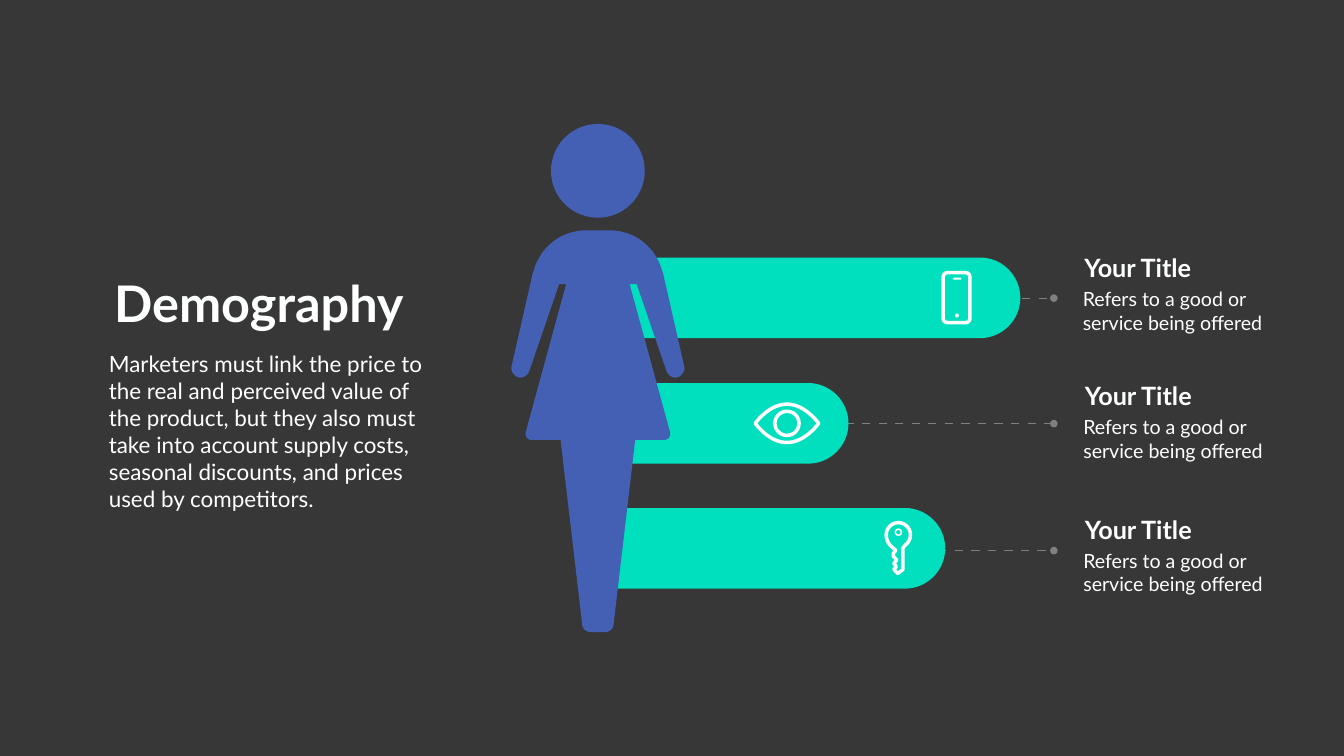
from dataclasses import dataclass

from lxml.etree import SubElement
from pptx import Presentation
from pptx.dml.color import RGBColor
from pptx.enum.shapes import MSO_CONNECTOR, MSO_SHAPE
from pptx.enum.text import MSO_AUTO_SIZE, PP_ALIGN
from pptx.oxml.ns import qn
from pptx.util import Emu, Pt

EMU_PER_PX = 9144  # 100 px to the inch

BACKGROUND = RGBColor(0x37, 0x37, 0x37)
TEAL = RGBColor(0x00, 0xDF, 0xBE)
BLUE = RGBColor(0x44, 0x60, 0xB4)
WHITE = RGBColor(0xFF, 0xFF, 0xFF)
TEXT = RGBColor(0xFE, 0xFF, 0xFF)
GREY = RGBColor(0x80, 0x80, 0x80)
DARK_GREY = RGBColor(0x60, 0x60, 0x60)

BAR_LEFT, BAR_HEIGHT = 1174, 160
DASH_LENGTH = 16
DOT_LEFT, DOT_SIZE = 2083, 15
FIGURE_CENTRE = 1186
ICON_STROKE = 7


@dataclass(frozen=True)
class Row:
    bar_top: int
    bar_right: int
    line_y: int
    first_dash: int
    last_dash: int
    dash_count: int
    dark_dashes: int
    text_left: int
    title_top: int


ROWS = (
    Row(511, 2024, 591, 1863, 2060, 7, 5, 2138, 496),
    Row(760, 1683, 840, 1645, 2071, 14, 1, 2139, 750),
    Row(1008, 1875, 1092, 1796, 2058, 9, 1, 2139, 1015),
)

# Two numbers are a corner; six are a Bézier segment: two handles and an end.
FIGURE_RIGHT_HALF = (
    (1209, 457), (1259, 457, 1300, 490, 1313, 536), (1315, 541), (1357, 726),
    (1360, 735, 1354, 743, 1346, 748), (1336, 752, 1326, 746, 1322, 736),
    (1263, 564), (1249, 564), (1329, 857), (1331, 865, 1326, 873, 1317, 873),
    (1260, 873), (1217, 1240), (1216, 1248, 1209, 1254, 1201, 1254),
)
EYE = (
    (1498, 840), (1515, 818, 1537, 802, 1561, 802),
    (1585, 802, 1607, 818, 1624, 840), (1607, 862, 1585, 878, 1561, 878),
    (1537, 878, 1515, 862, 1498, 840),
)
KEY = (
    (1769, 1085), (1777, 1092), (1772, 1098), (1772, 1104), (1779, 1111),
    (1773, 1118), (1778, 1124), (1773, 1130), (1781, 1138), (1791, 1130),
    (1791, 1088), (1795, 1082), (1801, 1078, 1806, 1070, 1806, 1061),
    (1806, 1048, 1795, 1037, 1782, 1037), (1769, 1037, 1758, 1048, 1758, 1061),
    (1758, 1071, 1762, 1079, 1769, 1085),
)


def px(length: float) -> Emu:
    return Emu(round(length * EMU_PER_PX))


def flatten(outline, steps: int = 16) -> list[tuple[float, float]]:
    """Turn corners and Bézier segments into a list of points."""
    points = []
    for segment in outline:
        if len(segment) == 2:
            points.append(segment)
            continue
        x0, y0 = points[-1]
        x1, y1, x2, y2, x3, y3 = segment
        for step in range(1, steps + 1):
            t = step / steps
            a, b, c, d = (1 - t) ** 3, 3 * t * (1 - t) ** 2, 3 * t * t * (1 - t), t ** 3
            points.append((a * x0 + b * x1 + c * x2 + d * x3,
                           a * y0 + b * y1 + c * y2 + d * y3))
    return points


def style(shape, fill: RGBColor | None, line: RGBColor | None, stroke: int) -> None:
    shape.shadow.inherit = False
    if fill is None:
        shape.fill.background()
    else:
        shape.fill.solid()
        shape.fill.fore_color.rgb = fill
    if line is None:
        shape.line.fill.background()
    else:
        shape.line.color.rgb = line
        shape.line.width = px(stroke)


def add_outline(slide, points, *, fill=None, line=None, stroke: int = ICON_STROKE) -> None:
    (start_x, start_y), *others = [(px(x), px(y)) for x, y in points]
    builder = slide.shapes.build_freeform(start_x, start_y)
    builder.add_line_segments(others, close=True)
    style(builder.convert_to_shape(), fill, line, stroke)


def add_preset(slide, kind, left: int, top: int, width: int, height: int, *,
               fill=None, line=None, stroke: int = ICON_STROKE,
               rounding: float | None = None) -> None:
    shape = slide.shapes.add_shape(kind, px(left), px(top), px(width), px(height))
    if rounding is not None:
        shape.adjustments[0] = rounding
    style(shape, fill, line, stroke)


def add_text(slide, text: str, left: int, top: int, width: int, height: int, *,
             size: int, bold: bool = False, align=PP_ALIGN.LEFT, wrap: bool = True) -> None:
    frame = slide.shapes.add_textbox(px(left), px(top), px(width), px(height)).text_frame
    frame.word_wrap = wrap
    frame.auto_size = MSO_AUTO_SIZE.SHAPE_TO_FIT_TEXT
    frame.text = text
    for paragraph in frame.paragraphs:
        paragraph.alignment = align
        font = paragraph.runs[0].font
        font.name, font.size, font.bold = "Lato", Pt(size), bold
        font.color.rgb = TEXT


def add_leader(slide, row: Row) -> None:
    """Draw the evenly spaced dashes and the dot that ends them."""
    gap = (row.last_dash - row.first_dash) / (row.dash_count - 1)
    for index in range(row.dash_count):
        x = row.first_dash + index * gap
        dash = slide.shapes.add_connector(MSO_CONNECTOR.STRAIGHT, px(x), px(row.line_y),
                                          px(x + DASH_LENGTH), px(row.line_y))
        dash.line.color.rgb = DARK_GREY if index < row.dark_dashes else GREY
        dash.line.width = Pt(0.96)
        SubElement(dash._element.spPr, qn("a:effectLst"))
    add_preset(slide, MSO_SHAPE.OVAL, DOT_LEFT, row.line_y - DOT_SIZE // 2,
               DOT_SIZE, DOT_SIZE, fill=GREY)


def add_bar(slide, row: Row) -> None:
    top, right, radius = row.bar_top, row.bar_right, BAR_HEIGHT // 2
    bottom, handle = top + BAR_HEIGHT, 36
    outline = (
        (BAR_LEFT, top), (right - radius, top),
        (right - handle, top, right, top + handle, right, top + radius),
        (right, bottom - handle, right - handle, bottom, right - radius, bottom),
        (BAR_LEFT, bottom),
    )
    add_outline(slide, flatten(outline), fill=TEAL)


def add_icons(slide) -> None:
    rounded, oval = MSO_SHAPE.ROUNDED_RECTANGLE, MSO_SHAPE.OVAL
    # Phone
    add_preset(slide, rounded, 1871, 541, 53, 99, line=WHITE, rounding=0.15)
    add_preset(slide, oval, 1894, 622, 8, 8, fill=WHITE)
    add_preset(slide, rounded, 1890, 551, 17, 4, fill=WHITE, rounding=0.5)
    # Eye
    add_outline(slide, flatten(EYE), line=WHITE)
    add_preset(slide, oval, 1537, 816, 48, 48, line=WHITE)
    # Key
    add_outline(slide, flatten(KEY), line=WHITE)
    add_preset(slide, oval, 1776, 1050, 12, 12, line=WHITE, stroke=3)


def add_figure(slide) -> None:
    add_preset(slide, MSO_SHAPE.OVAL, 1093, 246, 186, 186, fill=BLUE)
    right_half = flatten(FIGURE_RIGHT_HALF)
    left_half = [(2 * FIGURE_CENTRE - x, y) for x, y in reversed(right_half)]
    add_outline(slide, right_half + left_half, fill=BLUE)


def main() -> None:
    presentation = Presentation()
    presentation.slide_width, presentation.slide_height = px(2666), px(1500)
    slide = presentation.slides.add_slide(presentation.slide_layouts[6])
    slide.background.fill.solid()
    slide.background.fill.fore_color.rgb = BACKGROUND

    for row in ROWS:
        add_leader(slide, row)
    for row in ROWS:
        add_bar(slide, row)
    add_icons(slide)
    add_figure(slide)

    add_text(slide, "Demography", 210, 534, 607, 131, size=72, bold=True,
             align=PP_ALIGN.CENTER, wrap=False)
    add_text(slide, "Marketers must link the price to the real and perceived value of the "
             "product, but they also must take into account supply costs, seasonal "
             "discounts, and prices used by competitors.", 206, 690, 682, 333, size=32)
    for row in ROWS:
        add_text(slide, "Your Title", row.text_left + 3, row.title_top, 261, 71,
                 size=36, bold=True)
        add_text(slide, "Refers to a good or\nservice being offered",
                 row.text_left, row.title_top + 69, 397, 104, size=28)
    presentation.save("out.pptx")


if __name__ == "__main__":
    main()
